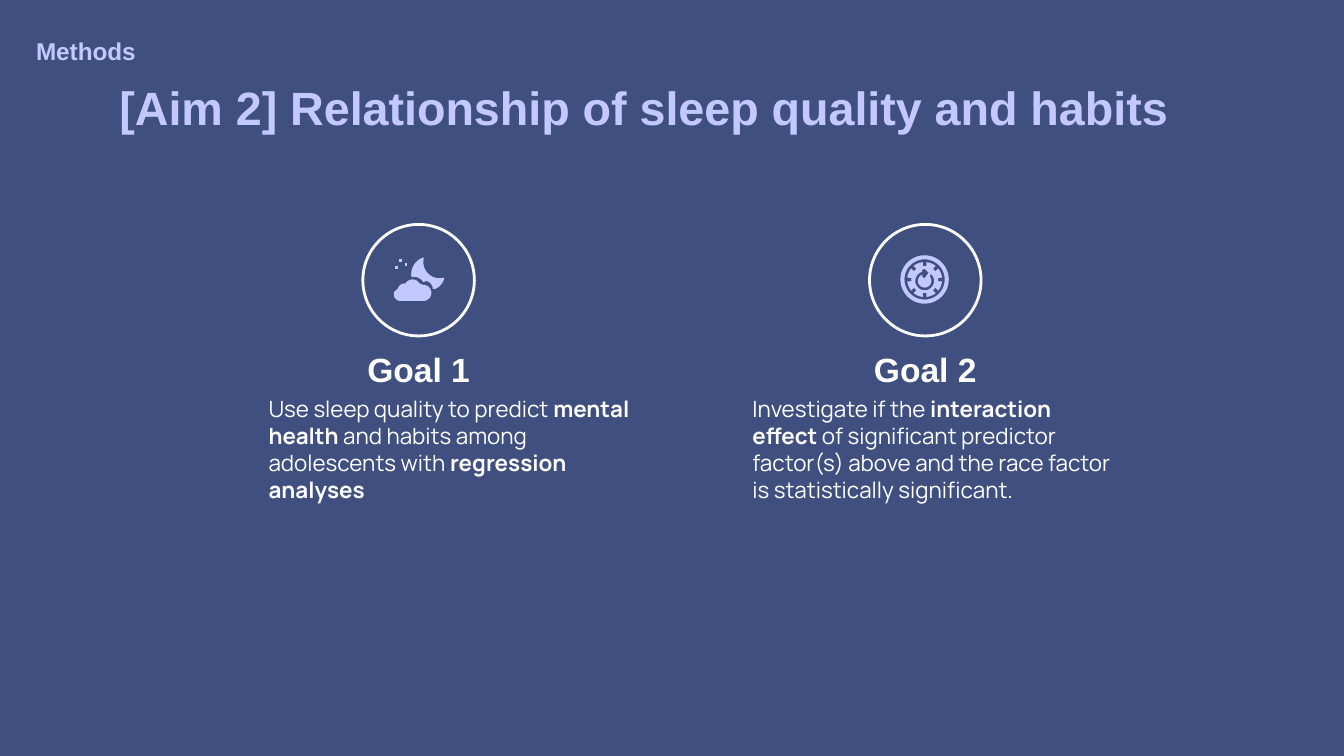
from math import cos, radians, sin

from pptx import Presentation
from pptx.dml.color import RGBColor
from pptx.enum.shapes import MSO_SHAPE
from pptx.enum.text import MSO_ANCHOR, PP_ALIGN
from pptx.util import Inches, Pt

ROUNDED = MSO_SHAPE.ROUNDED_RECTANGLE
TOP, BOTTOM = MSO_ANCHOR.TOP, MSO_ANCHOR.BOTTOM
LEFT, CENTER = PP_ALIGN.LEFT, PP_ALIGN.CENTER
COLORS = {"background": "3F4F80", "accent": "C3C9FF", "text": "FFFFFF"}
GOALS = [
    {
        "title": "Goal 1", "title_left": 1.65, "ring_left": 2.7, "body_left": 1.9,
        "body_height": 1.1,
        "runs": [
            ("Use sleep quality to predict ", False),
            ("mental health", True),
            (" and habits among adolescents with ", False),
            ("regression analyses", True),
        ],
    },
    {
        "title": "Goal 2", "title_left": 5.42, "ring_left": 6.47, "body_left": 5.5,
        "body_height": 1.59,
        "runs": [
            ("Investigate if the ", False),
            ("interaction effect ", True),
            ("of significant predictor factor(s) above and the race factor "
             "is statistically significant.", False),
        ],
    },
]


def color(name):
    """Return a palette colour."""
    return RGBColor.from_string(COLORS[name])


def add_text(slide, box, runs, size, font="Arial", fill="text", align=LEFT, anchor=TOP):
    """Add a one-paragraph text box made of (text, bold) runs."""
    shape = slide.shapes.add_textbox(*map(Inches, box))
    frame = shape.text_frame
    frame.word_wrap = True
    frame.vertical_anchor = anchor
    frame.margin_left = frame.margin_right = Inches(0.1)
    frame.margin_top = frame.margin_bottom = Inches(0.1)
    paragraph = frame.paragraphs[0]
    paragraph.alignment = align
    for text, bold in runs:
        run = paragraph.add_run()
        run.text = text
        run.font.name = font
        run.font.size = Pt(size)
        run.font.bold = bold
        run.font.color.rgb = color(fill)


def add_ring(slide, left):
    """Add the white circle that frames an icon."""
    ring = slide.shapes.add_shape(
        ROUNDED, Inches(left), Inches(1.67), Inches(0.83), Inches(0.83))
    ring.adjustments[0] = 0.5
    ring.shadow.inherit = False
    ring.fill.background()
    ring.line.color.rgb = color("text")
    ring.line.width = Pt(1.5)


def arc(x, y, radius, start, end, steps=24):
    """Return points along a clockwise-positive arc, angles in degrees."""
    angles = [radians(start + (end - start) * i / steps) for i in range(steps + 1)]
    return [(x + radius * cos(a), y + radius * sin(a)) for a in angles]


def add_outline(slide, *contours):
    """Add a filled freeform; later contours cut holes in the first."""
    contours = [[(Inches(x), Inches(y)) for x, y in points] for points in contours]
    builder = slide.shapes.build_freeform(*contours[0][0], scale=1.0)
    builder.add_line_segments(contours[0][1:], close=True)
    for points in contours[1:]:
        builder.move_to(*points[0])
        builder.add_line_segments(points[1:], close=True)
    shape = builder.convert_to_shape()
    shape.shadow.inherit = False
    shape.fill.solid()
    shape.fill.fore_color.rgb = color("accent")
    shape.line.fill.background()


def add_night_icon(slide):
    """Draw a cloud, a crescent moon and three stars."""
    cloud = (arc(2.98, 2.19, 0.05, 90, 200) + arc(3.01, 2.16, 0.05, 195, 270)
             + arc(3.07, 2.14, 0.06, 210, 330) + arc(3.15, 2.18, 0.06, -90, 90))
    moon = (arc(3.19, 2.04, 0.13, 252, 172) + arc(3.08, 2.14, 0.08, -100, -30)
            + arc(3.16, 2.15, 0.06, -80, 0) + arc(3.19, 2.04, 0.12, 65, 15)
            + arc(3.27, 1.95, 0.12, 75, 195))
    add_outline(slide, cloud)
    add_outline(slide, moon)
    for x, y in [(2.97, 1.93), (2.94, 1.98), (3.01, 1.96)]:
        add_outline(slide, [(x, y), (x, y + 0.02), (x + 0.02, y + 0.02), (x + 0.02, y)])


def add_clock_icon(slide):
    """Draw a notched dial with a turning arrow inside a thick rim."""
    x, y = 6.88, 2.08
    dial = []
    for angle in range(0, 360, 45):
        dial += arc(x, y, 0.1, angle - 7, angle + 7, 2)
        dial += arc(x, y, 0.13, angle + 6, angle + 39, 8)
    arrow = ([(6.88, 2), (6.91, 2.03), (6.88, 2.07), (6.86, 2.06)]
             + arc(x, 2.09, 0.05, -110, -400) + arc(x, 2.09, 0.07, -410, -105)
             + [(6.86, 2.01)])
    add_outline(slide, dial, arrow)
    add_outline(slide, arc(x, y, 0.18, 0, 360, 48), arc(x, y, 0.15, 360, 0, 48))


def main():
    """Build and save the slide."""
    presentation = Presentation()
    presentation.slide_width = Inches(10)
    presentation.slide_height = Inches(10 * 9 / 16)
    slide = presentation.slides.add_slide(presentation.slide_layouts[6])
    slide.background.fill.solid()
    slide.background.fill.fore_color.rgb = color("background")

    add_text(slide, (0.79, 0.49, 8.43, 0.63),
             [("[Aim 2] Relationship of sleep quality and habits", True)], 25,
             fill="accent")
    for goal in GOALS:
        add_text(slide, (goal["title_left"], 2.6, 2.93, 0.4), [(goal["title"], True)],
                 18, align=CENTER, anchor=BOTTOM)
        add_text(slide, (goal["body_left"], 2.84, 2.93, goal["body_height"]),
                 goal["runs"], 12, font="Manrope")
        add_ring(slide, goal["ring_left"])
    add_night_icon(slide)
    add_clock_icon(slide)
    add_text(slide, (0.17, 0.17, 1.62, 0.42), [("Methods", True)], 13, fill="accent")
    presentation.save("out.pptx")


if __name__ == "__main__":
    main()
